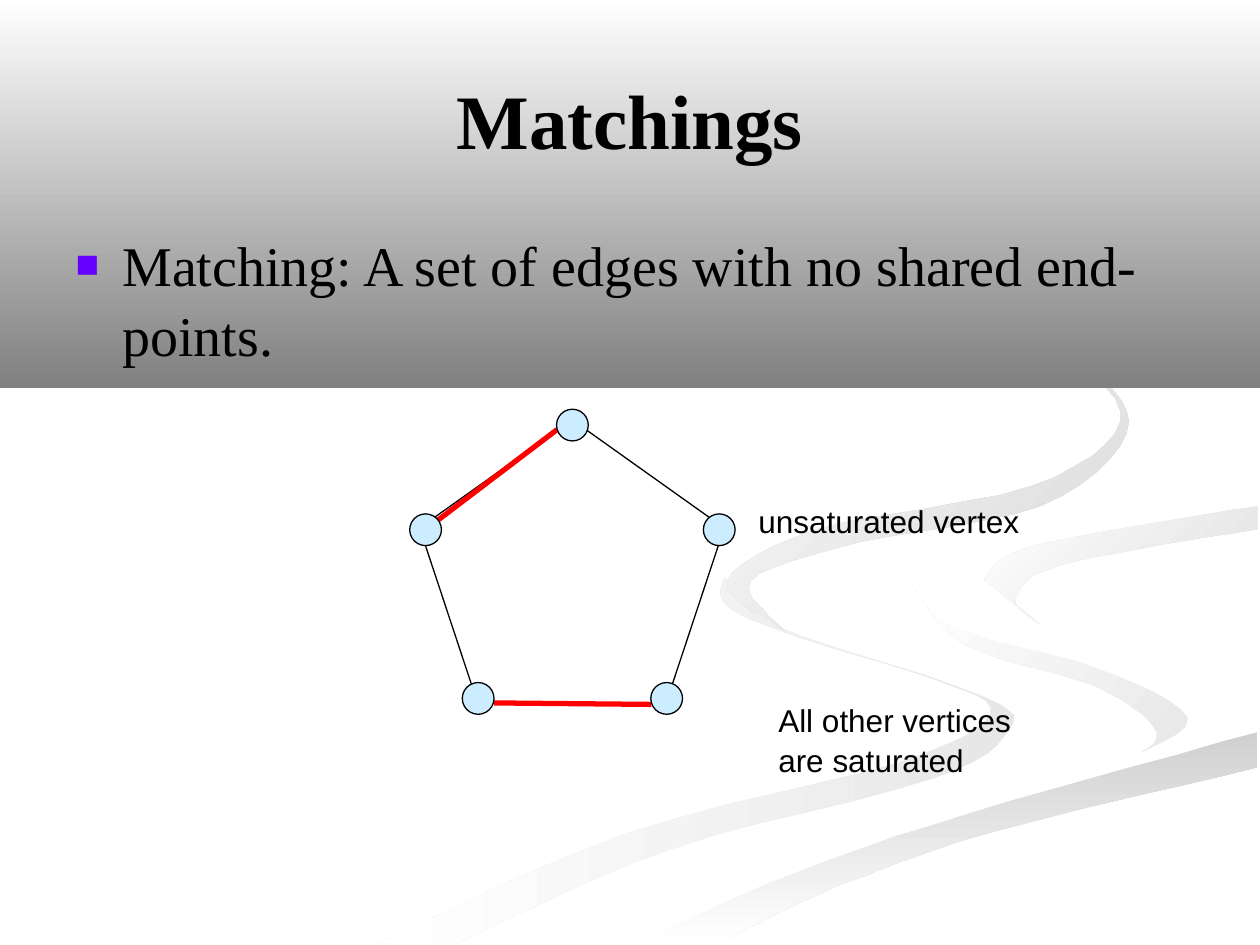
from dataclasses import dataclass

from lxml.etree import SubElement
from pptx import Presentation
from pptx.dml.color import RGBColor as Rgb
from pptx.enum.shapes import MSO_CONNECTOR as Connector, MSO_SHAPE as Shape
from pptx.enum.text import MSO_ANCHOR as Anchor, PP_ALIGN as Align
from pptx.oxml.ns import qn
from pptx.util import Cm, Pt


@dataclass(frozen=True)
class Theme:
    serif: str = "Times New Roman"
    sans: str = "Arial"
    title_size: int = 44
    body_size: int = 32
    label_size: int = 18
    line_spacing: float = 1.05
    ink: str = "000000"
    white: str = "FFFFFF"
    band: str = "808080"
    bullet: str = "6600FF"
    vertex: str = "CCECFF"
    matched: str = "FF0000"


THEME = Theme()
GRID = Cm(2.54) / 100  # ribbon edges are drawn on a grid of 100 steps per 2.54 cm

# Edges shared by neighbouring ribbons
BEND = [(724, 464), (758, 498), (870, 530), (943, 570)]
SWEEP = [(503, 749), (630, 693), (764, 647), (998, 581)]
CREST = [(781, 460), (821, 433), (998, 402)]

# Ribbons: start colour, gradient angle, smooth edges in drawing order
RIBBONS = [
    ("E7E7E7", 180, [
        [(575, 459), (576, 480), (631, 505), (741, 539), (786, 566),
         (714, 605), (499, 661), (300, 749)],
        [(361, 749), (532, 674), (740, 618), (800, 581), (781, 553),
         (614, 496), (575, 459)]]),
    ("E7E7E7", 225, [
        BEND + [(894, 605)],
        [(894, 605), (918, 581), (868, 544), (766, 512), (724, 464)]]),
    ("D0D0D0", 90, [SWEEP, [(998, 609), (785, 661), (649, 710), (571, 749)]]),
    (THEME.white, 0, [
        BEND + [(869, 611), (663, 668), (477, 749)], SWEEP,
        [(999, 538), (866, 509), (781, 460)], CREST,
        [(999, 387), (808, 417), (724, 464)]]),
    ("DFDFDF", 225, [
        CREST, [(998, 420), (843, 448), (806, 475), (826, 496)]]),
    ("D7D7D7", 225, [
        [(762, 233), (864, 291), (894, 344), (825, 402), (683, 430),
         (596, 461), (622, 500)],
        [(622, 500), (577, 462), (649, 420), (818, 386), (889, 335),
         (846, 279), (762, 233)]]),
]


def smooth(points, steps=6):
    """Catmull-Rom curve through the points."""
    padded = [points[0], *points, points[-1]]
    curve = [points[0]]
    for a, b, c, d in zip(padded, padded[1:], padded[2:], padded[3:]):
        for step in range(1, steps + 1):
            t = step / steps
            curve.append(tuple(
                q + t / 2 * (r - p + t * (2 * p - 5 * q + 4 * r - s
                                          + t * (3 * (q - r) + s - p)))
                for p, q, r, s in zip(a, b, c, d)))
    return curve


class SlideBuilder:
    """Holds the theme and the current slide."""

    def __init__(self, slide, theme):
        self.slide = slide
        self.shapes = slide.shapes
        self.theme = theme

    def style_line(self, line, color, width):
        line.color.rgb = Rgb.from_string(color)
        line.width = Pt(width)

    def fill_text(self, shape, text, box, font, size, bold=False):
        shape.left, shape.top, shape.width, shape.height = map(Cm, box)
        frame = shape.text_frame
        frame.text = text
        frame.word_wrap = True
        paragraph = frame.paragraphs[0]
        paragraph.line_spacing = self.theme.line_spacing
        for run in paragraph.runs:
            run.font.name, run.font.size, run.font.bold = font, Pt(size), bold
            run.font.color.rgb = Rgb.from_string(self.theme.ink)
        return paragraph

    def gradient(self, shape, start, end, angle):
        shape.line.fill.background()
        shape.fill.gradient()
        shape.fill.gradient_angle = (360 - angle) % 360
        for stop, color in zip(shape.fill.gradient_stops, (start, end)):
            stop.color.rgb = Rgb.from_string(color)

    def ribbon(self, start, angle, edges):
        points = [point for edge in edges for point in smooth(edge)]
        builder = self.shapes.build_freeform(*points[0], scale=GRID)
        builder.add_line_segments(points[1:], close=True)
        shape = builder.convert_to_shape()
        shape.shadow.inherit = False
        self.gradient(shape, start, self.theme.white, angle)

    def band(self, box):
        shape = self.preset(Shape.RECTANGLE, box)
        self.gradient(shape, self.theme.white, self.theme.band, 90)

    def preset(self, kind, box, fill=None):
        shape = self.shapes.add_shape(kind, *map(Cm, box))
        shape.shadow.inherit = False
        self.style_line(shape.line, self.theme.ink, 0.75)
        if fill:
            shape.fill.solid()
            shape.fill.fore_color.rgb = Rgb.from_string(fill)
        else:
            shape.fill.background()
        return shape

    def edge(self, start, end):
        connector = self.shapes.add_connector(
            Connector.STRAIGHT, *map(Cm, start + end))
        self.style_line(connector.line, self.theme.matched, 3)
        SubElement(connector._element.spPr, qn("a:effectLst"))

    def placeholder(self, index):
        """Bring a placeholder in front of the background."""
        shape = self.slide.placeholders[index]
        self.shapes._spTree.append(shape._element)
        return shape

    def title(self, text, box):
        shape = self.placeholder(0)
        paragraph = self.fill_text(shape, text, box, self.theme.serif,
                                   self.theme.title_size, bold=True)
        shape.text_frame.vertical_anchor = Anchor.MIDDLE
        paragraph.alignment = Align.CENTER

    def body(self, text, box):
        paragraph = self.fill_text(self.placeholder(1), text, box,
                                   self.theme.serif, self.theme.body_size)
        paragraph.space_before = Pt(8)
        properties = paragraph._p.get_or_add_pPr()
        properties.set("marL", str(Cm(0.94)))
        properties.set("indent", str(-Cm(0.94)))
        color = SubElement(properties, qn("a:buClr"))
        SubElement(color, qn("a:srgbClr"), val=self.theme.bullet)
        SubElement(properties, qn("a:buSzPct"), val="70000")
        SubElement(properties, qn("a:buChar"), char="■")

    def label(self, text, box):
        shape = self.shapes.add_textbox(*map(Cm, box))
        paragraph = self.fill_text(shape, text, box, self.theme.sans,
                                   self.theme.label_size)
        paragraph.space_before = Pt(11.2)


def main():
    presentation = Presentation()
    presentation.slide_width, presentation.slide_height = Cm(25.4), Cm(19.05)
    slide = presentation.slides.add_slide(presentation.slide_layouts[1])
    builder = SlideBuilder(slide, THEME)

    # Background
    for ribbon in RIBBONS:
        builder.ribbon(*ribbon)
    builder.band((0, 0, 25.4, 7.82))

    # Title and definition
    builder.title("Matchings", (1.27, 0.76, 22.86, 3.18))
    builder.body("Matching: A set of edges with no shared end-points.",
                 (1.27, 4.45, 22.86, 12.57))

    # Graph: cycle, matched edges, then vertices mirrored about the axis
    builder.preset(Shape.REGULAR_PENTAGON, (8.46, 8.46, 6.14, 5.72))
    builder.edge((9.96, 14.17), (13.13, 14.2))
    builder.edge((8.69, 10.59), (11.23, 8.66))
    axis, diameter = 11.54, 0.64
    for offset, middle in ((0, 8.57), (-2.96, 10.68), (2.96, 10.68),
                           (-1.9, 14.08), (1.9, 14.08)):
        box = (axis + offset - diameter / 2, middle - diameter / 2,
               diameter, diameter)
        builder.preset(Shape.OVAL, box, THEME.vertex)

    # Labels
    builder.label("unsaturated vertex", (15.04, 9.96, 5.92, 1.02))
    builder.label("All other vertices are saturated", (15.44, 13.97, 5.92, 1.78))

    presentation.save("out.pptx")


if __name__ == "__main__":
    main()
